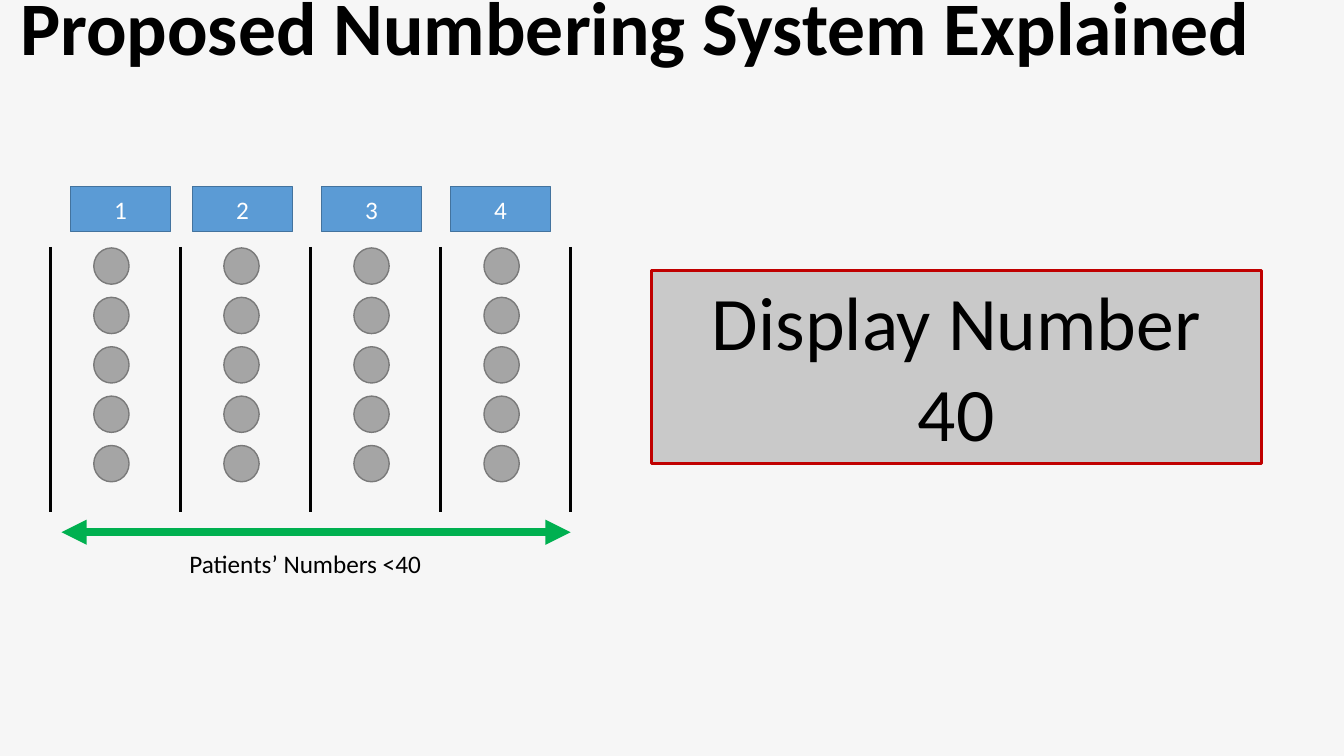
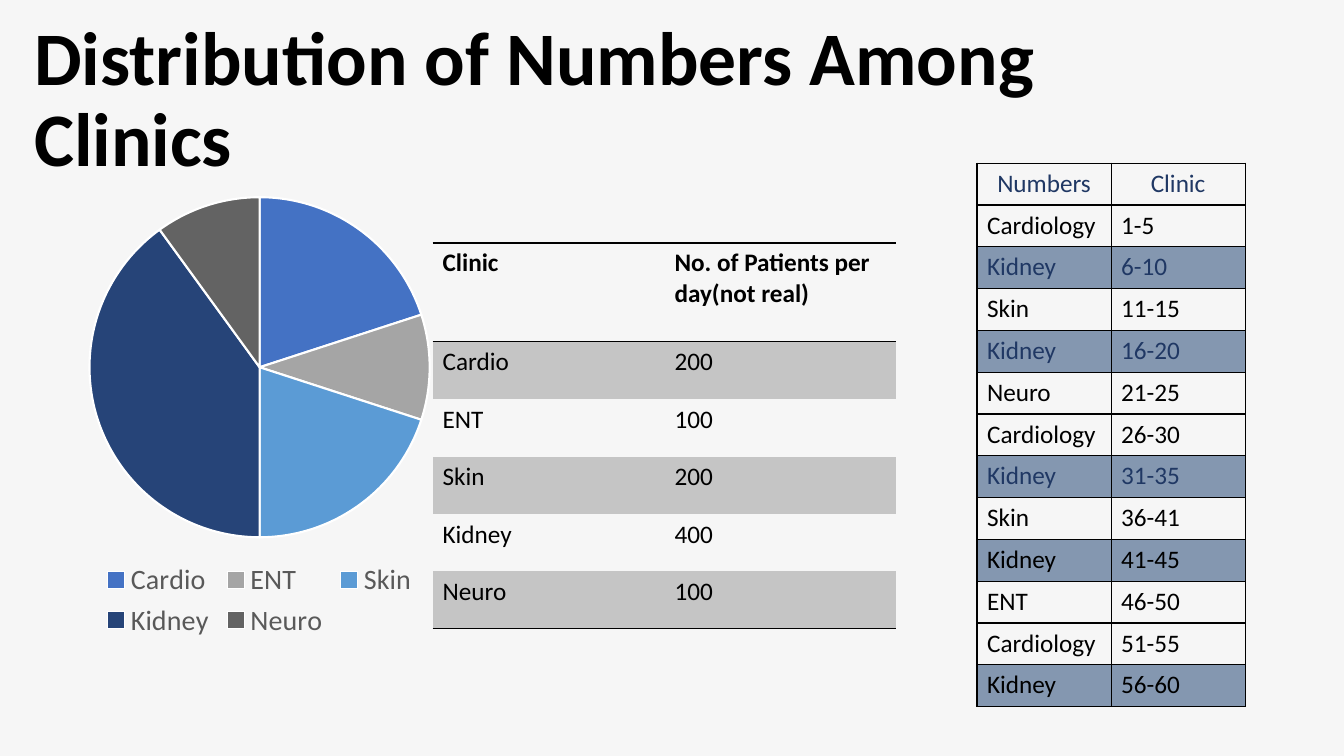
from dataclasses import dataclass

from lxml import etree
from pptx import Presentation, util as u
from pptx.chart.data import CategoryChartData
from pptx.dml.color import RGBColor
from pptx.enum import chart as chart_enum, shapes, text
from pptx.oxml import parse_xml
from pptx.oxml.ns import nsdecls, qn


@dataclass(frozen=True)
class Theme:
    font: str = "Calibri"
    background: str = "F6F6F6"
    ink: str = "000000"
    white: str = "FFFFFF"
    navy: str = "203864"
    desk: str = "5B9BD5"
    desk_edge: str = "43739E"
    patient: str = "A5A5A5"
    patient_edge: str = "7A7A7A"
    display: str = "C9C9C9"
    display_edge: str = "C00000"
    arrow: str = "00B050"
    band: str = "C5C5C5"
    kidney: str = "8497B0"
    legend: str = "595959"
    heading_size: int = 54
    body_size: int = 18
    legend_size: int = 20


THEME = Theme()
NO_STYLE = "{2D5ABB26-0587-4C30-8999-92F81FD0307C}"
LEFT, CENTER = text.PP_ALIGN.LEFT, text.PP_ALIGN.CENTER
TOP, MIDDLE = text.MSO_ANCHOR.TOP, text.MSO_ANCHOR.MIDDLE

QUEUE_TITLE = "Proposed Numbering System Explained"
DESKS = [("1", 0.7), ("2", 1.91), ("3", 3.19), ("4", 4.47)]
PATIENTS_PER_LANE = 5
LANE_WIDTH, PATIENT_STEP = 1.29, 0.49
LANES_LEFT, LANES_TOP, LANES_HEIGHT = 0.5, 2.45, 2.63
DISPLAY_LINES = ["Display Number", "40"]
QUEUE_LABEL = "Patients’ Numbers <40"

CLINICS_TITLE = "Distribution of Numbers Among Clinics"
SHARES = [  # clinic, share, colour
    ("Cardio", 20, "4472C4"),
    ("ENT", 10, "A5A5A5"),
    ("Skin", 20, "5B9BD5"),
    ("Kidney", 40, "264478"),
    ("Neuro", 10, "636363"),
]
PATIENTS_HEADER = ("Clinic", "No. of Patients per day(not real)")
PATIENTS = [("Cardio", "200"), ("ENT", "100"), ("Skin", "200"),
            ("Kidney", "400"), ("Neuro", "100")]
NUMBERS_HEADER = ("Numbers", "Clinic")
NUMBERS = [
    ("Cardiology", "1-5"), ("Kidney", "6-10"), ("Skin", "11-15"),
    ("Kidney", "16-20"), ("Neuro", "21-25"), ("Cardiology", "26-30"),
    ("Kidney", "31-35"), ("Skin", "36-41"), ("Kidney", "41-45"),
    ("ENT", "46-50"), ("Cardiology", "51-55"), ("Kidney", "56-60"),
]
NAVY_RANGES = {"6-10", "16-20", "31-35"}


def rgb(colour):
    return RGBColor.from_string(colour)


def inches(*lengths):
    return [u.Inches(length) for length in lengths]


def style_font(font, size=THEME.body_size, colour=THEME.ink, bold=False):
    font.name, font.size, font.bold = THEME.font, u.Pt(size), bold
    font.color.rgb = rgb(colour)


def write(frame, lines, *, align=LEFT, spacing=None, **font_format):
    """Fill a text frame with one paragraph per line."""
    lines = [lines] if isinstance(lines, str) else lines
    frame.word_wrap = True
    for index, line in enumerate(lines):
        paragraph = frame.add_paragraph() if index else frame.paragraphs[0]
        paragraph.alignment = align
        if spacing:
            paragraph.line_spacing = spacing
        run = paragraph.add_run()
        run.text = line
        style_font(run.font, **font_format)


def add_text(slide, box, lines, *, anchor=TOP, **text_format):
    frame = slide.shapes.add_textbox(*inches(*box)).text_frame
    frame.vertical_anchor = anchor
    write(frame, lines, **text_format)


def add_box(slide, kind, box, fill, edge, width=1):
    shape = slide.shapes.add_shape(kind, *inches(*box))
    shape.shadow.inherit = False
    shape.fill.solid()
    shape.fill.fore_color.rgb = rgb(fill)
    shape.line.color.rgb = rgb(edge)
    shape.line.width = u.Pt(width)
    return shape


def add_line(slide, start, end, colour, width, arrows=False):
    line = slide.shapes.add_connector(
        shapes.MSO_CONNECTOR.STRAIGHT, *inches(*start, *end))
    line.line.color.rgb = rgb(colour)
    line.line.width = u.Pt(width)
    properties = line.element.spPr
    if arrows:
        for end_name in ("a:headEnd", "a:tailEnd"):
            etree.SubElement(properties.find(qn("a:ln")), qn(end_name), type="triangle")
    etree.SubElement(properties, qn("a:effectLst"))


def add_slide(presentation, title, title_box):
    slide = presentation.slides.add_slide(presentation.slide_layouts[6])
    slide.background.fill.solid()
    slide.background.fill.fore_color.rgb = rgb(THEME.background)
    add_text(slide, title_box, title, anchor=MIDDLE, spacing=0.9,
             size=THEME.heading_size, bold=True)
    return slide


def add_table(slide, position, column_width, row_heights):
    columns = 2
    size = (column_width * columns, sum(row_heights))
    frame = slide.shapes.add_table(
        len(row_heights), columns, *inches(*position, *size))
    table = frame.table
    table.first_row = table.horz_banding = False
    table._tbl.tblPr.find(qn("a:tableStyleId")).text = NO_STYLE
    for column in table.columns:
        column.width = u.Inches(column_width)
    for row, height in zip(table.rows, row_heights):
        row.height = u.Inches(height)
    return table


def fill_row(row, values, *, fill=None, borders="", **text_format):
    """Write one table row; borders holds side letters from L, R, T, B in that order."""
    for cell, value in zip(row.cells, values):
        write(cell.text_frame, value, **text_format)
        for side in borders:
            cell._tc.get_or_add_tcPr().append(parse_xml(
                f'<a:ln{side} {nsdecls("a")} w="12700"><a:solidFill>'
                f'<a:srgbClr val="{THEME.ink}"/></a:solidFill></a:ln{side}>'))
        if fill:
            cell.fill.solid()
            cell.fill.fore_color.rgb = rgb(fill)
        else:
            cell.fill.background()


def add_pie(slide, box):
    data = CategoryChartData()
    data.categories = [clinic for clinic, _, _ in SHARES]
    data.add_series("Series 1", [share for _, share, _ in SHARES])
    chart = slide.shapes.add_chart(
        chart_enum.XL_CHART_TYPE.PIE, *inches(*box), data).chart
    chart.has_title = False
    style_font(chart.font)
    chart.has_legend = True
    chart.legend.position = chart_enum.XL_LEGEND_POSITION.BOTTOM
    chart.legend.include_in_layout = False
    style_font(chart.legend.font, THEME.legend_size, THEME.legend)
    plot = chart.plots[0]
    plot.vary_by_categories = True
    for index, (_, _, colour) in enumerate(SHARES):
        wedge = plot.series[0].points[index].format
        wedge.fill.solid()
        wedge.fill.fore_color.rgb = rgb(colour)
        wedge.line.color.rgb = rgb(THEME.white)
        wedge.line.width = u.Pt(1.5)
    plot_area = chart._chartSpace.chart.plotArea
    for layout in plot_area.findall(qn("c:layout")):
        plot_area.remove(layout)
    plot_area.insert(0, parse_xml(
        f'<c:layout {nsdecls("c")}><c:manualLayout><c:layoutTarget val="inner"/>'
        '<c:xMode val="edge"/><c:yMode val="edge"/><c:x val="0.17"/><c:y val="0.03"/>'
        '<c:w val="0.66"/><c:h val="0.74"/></c:manualLayout></c:layout>'))


def build_queue_slide(presentation):
    slide = add_slide(presentation, QUEUE_TITLE, (0.1, 0, 12.42, 0.62))
    rectangle, oval = shapes.MSO_SHAPE.RECTANGLE, shapes.MSO_SHAPE.OVAL
    for number, left in DESKS:
        desk = add_box(slide, rectangle, (left, 1.85, 0.99, 0.45),
                       THEME.desk, THEME.desk_edge)
        write(desk.text_frame, number, align=CENTER, colour=THEME.white)
    for lane in range(len(DESKS) + 1):
        x = LANES_LEFT + lane * LANE_WIDTH
        add_line(slide, (x, LANES_TOP), (x, LANES_TOP + LANES_HEIGHT), THEME.ink, 2.25)
        if lane == len(DESKS):
            break
        for place in range(PATIENTS_PER_LANE):
            add_box(slide, oval,
                    (x + 0.43, LANES_TOP + 0.01 + place * PATIENT_STEP, 0.35, 0.36),
                    THEME.patient, THEME.patient_edge)
    display = add_box(slide, rectangle, (6.46, 2.68, 6.05, 1.92),
                      THEME.display, THEME.display_edge, 2.25)
    display.text_frame.vertical_anchor = TOP
    write(display.text_frame, DISPLAY_LINES, align=CENTER, size=THEME.heading_size)
    add_line(slide, (0.61, 5.28), (5.66, 5.28), THEME.arrow, 6, arrows=True)
    add_text(slide, (1.78, 5.39, 3.78, 0.4), QUEUE_LABEL)


def build_clinics_slide(presentation):
    slide = add_slide(presentation, CLINICS_TITLE, (0.24, 0.28, 11.94, 1.45))

    patients = add_table(slide, (4.29, 2.41), 2.3, [0.98] + [0.57] * len(PATIENTS))
    fill_row(patients.rows[0], PATIENTS_HEADER, borders="TB", bold=True)
    for index, values in enumerate(PATIENTS, 1):
        fill_row(patients.rows[index], values,
                 fill=THEME.band if index % 2 else None,
                 borders="B" if index == len(PATIENTS) else "")

    add_pie(slide, (0, 1.82, 5.15, 4.56))

    row_count = len(NUMBERS) + 1
    numbers = add_table(slide, (9.69, 1.62), 1.33, [5.39 / row_count] * row_count)
    fill_row(numbers.rows[0], NUMBERS_HEADER, borders="LRTB",
             align=CENTER, colour=THEME.navy)
    for index, values in enumerate(NUMBERS, 1):
        clinic, number_range = values
        fill_row(numbers.rows[index], values, borders="LRTB",
                 fill=THEME.kidney if clinic == "Kidney" else None,
                 colour=THEME.navy if number_range in NAVY_RANGES else THEME.ink)


def main():
    presentation = Presentation()
    presentation.slide_width, presentation.slide_height = inches(13.33, 7.5)
    build_queue_slide(presentation)
    build_clinics_slide(presentation)
    presentation.save("out.pptx")


if __name__ == "__main__":
    main()
